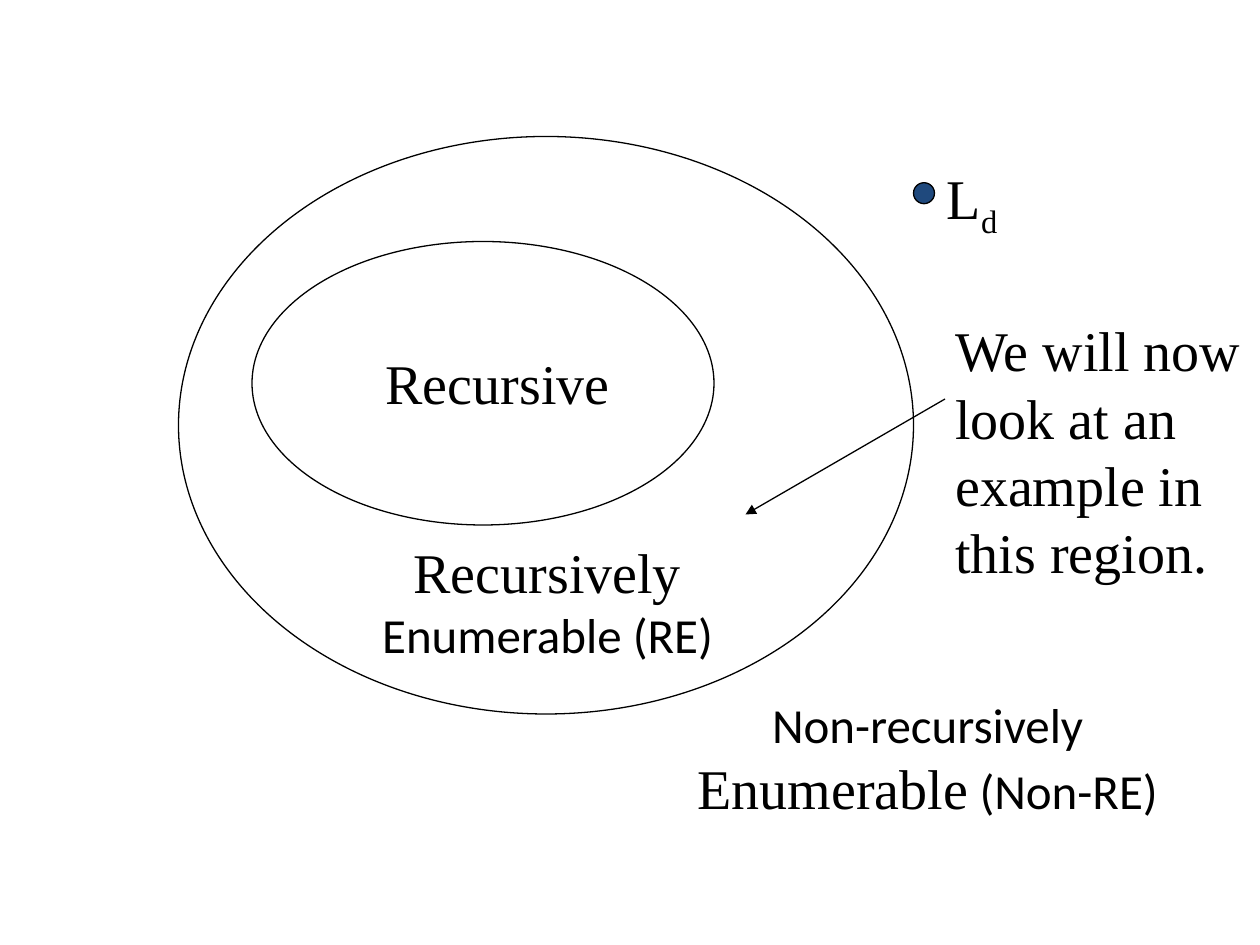
from dataclasses import dataclass

from lxml.etree import SubElement
from pptx import Presentation
from pptx.dml.color import RGBColor
from pptx.enum.shapes import MSO_CONNECTOR, MSO_SHAPE
from pptx.enum.text import MSO_AUTO_SIZE, PP_ALIGN
from pptx.oxml.ns import qn
from pptx.util import Inches, Pt


@dataclass(frozen=True)
class Theme:
    ink: RGBColor = RGBColor(0x00, 0x00, 0x00)
    marker: RGBColor = RGBColor(0x1F, 0x49, 0x7D)
    line_width: float = 0.75
    serif: tuple = ("Times New Roman", 32)
    sans: tuple = ("Calibri", 28)


class SetDiagram:
    """Draws on a grid of 120 columns by 90 rows."""

    def __init__(self, deck, theme):
        self.theme = theme
        self.column = deck.slide_width / 120
        self.row = deck.slide_height / 90
        self.slide = deck.slides.add_slide(deck.slide_layouts[6])

    def place(self, left, top, width, height):
        return (round(left * self.column), round(top * self.row),
                round(width * self.column), round(height * self.row))

    def outline(self, line):
        line.color.rgb = self.theme.ink
        line.width = Pt(self.theme.line_width)

    def region(self, *box, fill=None):
        ellipse = self.slide.shapes.add_shape(MSO_SHAPE.OVAL, *self.place(*box))
        ellipse.shadow.inherit = False
        if fill is None:
            ellipse.fill.background()
        else:
            ellipse.fill.solid()
            ellipse.fill.fore_color.rgb = fill
        self.outline(ellipse.line)

    def label(self, box, lines, align=PP_ALIGN.CENTER):
        """Each line is a list of (text, face) or (text, face, baseline) runs."""
        frame = self.slide.shapes.add_textbox(*self.place(*box)).text_frame
        frame.word_wrap = False
        frame.auto_size = MSO_AUTO_SIZE.SHAPE_TO_FIT_TEXT
        for number, line in enumerate(lines):
            paragraph = frame.add_paragraph() if number else frame.paragraphs[0]
            paragraph.alignment = align
            for text, (font, size), *baseline in line:
                run = paragraph.add_run()
                run.text = text
                run.font.name = font
                run.font.size = Pt(size)
                run.font.color.rgb = self.theme.ink
                if baseline:
                    run._r.get_or_add_rPr().set("baseline", str(baseline[0] * 1000))

    def arrow(self, *ends):
        pointer = self.slide.shapes.add_connector(MSO_CONNECTOR.STRAIGHT, *self.place(*ends))
        self.outline(pointer.line)
        SubElement(pointer.line._get_or_add_ln(), qn("a:tailEnd"), type="triangle")
        SubElement(pointer._element.spPr, qn("a:effectLst"))


def main():
    deck = Presentation()
    deck.slide_width, deck.slide_height = Inches(10), Inches(7.5)
    theme = Theme()
    serif, sans = theme.serif, theme.sans
    diagram = SetDiagram(deck, theme)

    # Nested language classes
    diagram.region(17, 13, 70, 55)
    diagram.region(24, 23, 44, 27)
    diagram.label((35.4, 32.6, 24, 7.7), [[("Recursive", serif)]])
    diagram.label((35, 50.6, 34.3, 13.3),
                  [[("Recursively", serif)], [("Enumerable (RE)", sans)]])
    diagram.label((65, 65.6, 46.7, 13.3),
                  [[("Non-recursively", sans)],
                   [("Enumerable", serif), (" (Non-RE)", sans)]])

    # Language outside RE
    diagram.region(87, 17.4, 2, 2, fill=theme.marker)
    diagram.label((89, 15, 7.4, 7.7), [[("L", serif), ("d", serif, -25)]], PP_ALIGN.LEFT)

    # Remark pointing into the RE ring
    remark = ("We will now", "look at an", "example in", "this region.")
    diagram.label((89.8, 29.5, 29.9, 27.1), [[(text, serif)] for text in remark], PP_ALIGN.LEFT)
    diagram.arrow(90, 38, 71, 49)

    deck.save("out.pptx")


if __name__ == "__main__":
    main()
